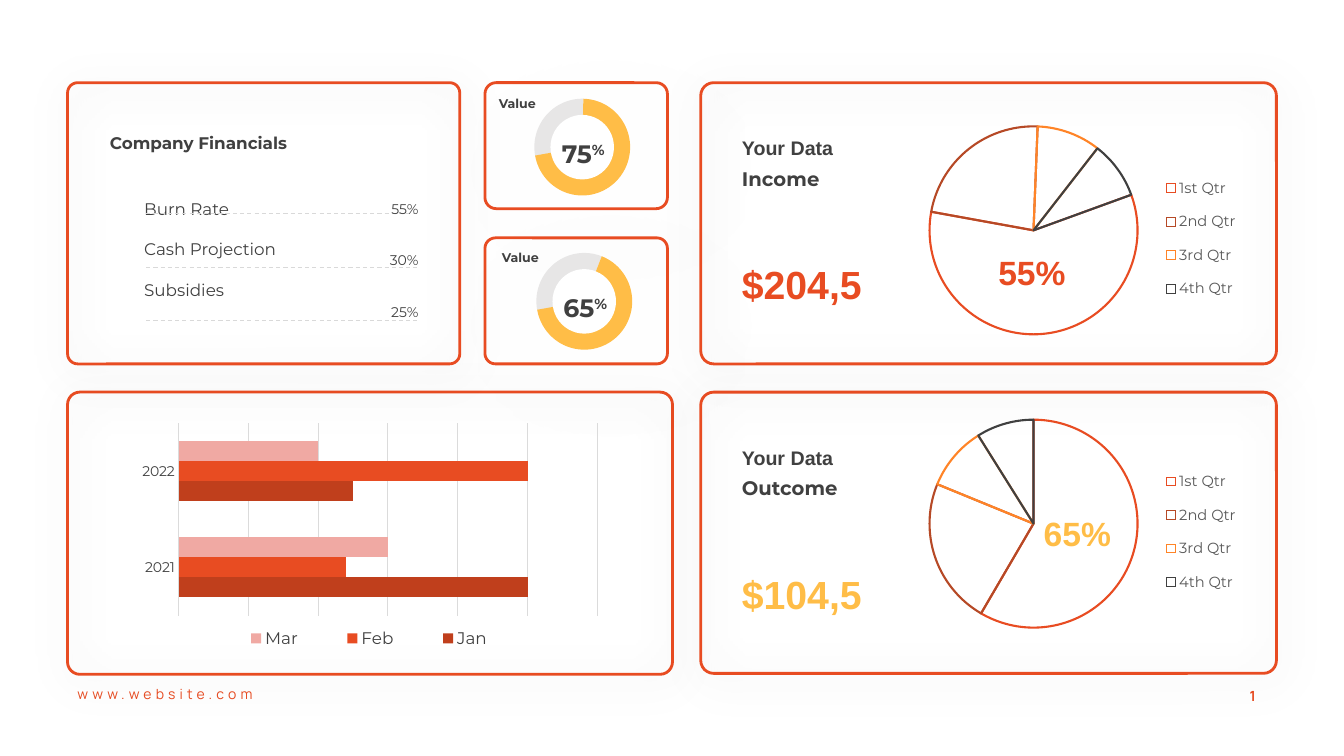
from pptx import Presentation
from pptx.chart.data import CategoryChartData as Data
from pptx.dml.color import RGBColor as RGB
from pptx.enum.chart import XL_CHART_TYPE as Kind, XL_LEGEND_POSITION as Spot, XL_TICK_MARK as Tick
from pptx.enum.dml import MSO_LINE as Dash
from pptx.enum.shapes import MSO_SHAPE as Form, MSO_CONNECTOR as Wire
from pptx.enum.text import PP_ALIGN as Al, MSO_AUTO_SIZE as Fit
from pptx.oxml import parse_xml
from pptx.oxml.ns import qn, nsdecls
from pptx.util import Inches as In, Pt

RED = RGB(0xE8, 0x4C, 0x22)
GOLD = RGB(0xFF, 0xBD, 0x47)
BRICK = RGB(0xC0, 0x3F, 0x1C)
RUST = RGB(0xB6, 0x49, 0x26)
AMBER = RGB(0xFF, 0x84, 0x27)
ROSE = RGB(0xF0, 0xA9, 0xA3)
DARK = RGB(0x40, 0x40, 0x40)
GREY = RGB(0x59, 0x59, 0x59)
PALE = RGB(0xE7, 0xE6, 0xE6)
GRID = RGB(0xDB, 0xDB, 0xDB)
RULE = RGB(0xD9, 0xD9, 0xD9)
WHITE = RGB(0xFF, 0xFF, 0xFF)
SANS, MONT, MAN = "Arial", "Montserrat", "Manrope"

TOP, LOW, LEFT, MID, RIGHT = 0.82, 3.89, 0.67, 4.81, 6.95
SOFT, WIDE = (20, 30, 4.5, 67), (10, 80, 30, 35)
CARDS = [
    (LEFT, LOW, 6, 2.8, 0.044, SOFT),
    (LEFT, TOP, 3.89, 2.79, 0.036, SOFT),
    (MID, TOP, 1.81, 1.25, 0.089, WIDE),
    (MID, TOP + 1.54, 1.81, 1.25, 0.083, WIDE),
    (RIGHT, LOW, 5.71, 2.79, 0.046, SOFT),
    (RIGHT, TOP, 5.71, 2.79, 0.046, SOFT),
]
ITEMS = [("Burn Rate", "55%"), ("Cash Projection", "30%"), ("Subsidies", "25%")]
YEARS = ["2021", "2022"]
MONTHS = [("Jan", (100, 50), BRICK), ("Feb", (48, 100), RED), ("Mar", (60, 40), ROSE)]
GAUGES = [("75", 162.8), ("65", 174.7)]
QUARTERS = [("1st Qtr", 59, RED), ("2nd Qtr", 23, RUST), ("3rd Qtr", 10, AMBER), ("4th Qtr", 9, DARK)]
PIES = [
    (TOP, 0.3, 70, "Income", "$204,5", RED, 1.71, "55%", 9.39, 1.63),
    (LOW, 0.14, 0, "Outcome", "$104,5", GOLD, 1.72, "65%", 9.84, 1.15),
]

deck = Presentation()
deck.slide_width, deck.slide_height = In(13.33), In(7.5)
slide = deck.slides.add_slide(deck.slide_layouts[6])
shapes = slide.shapes


def box(at):
    return [In(v) for v in at]


def run(text, size, color, font=MONT, bold=False, **extra):
    return text, size, color, font, bold, extra


def write(at, paras, align=Al.LEFT, lead=None, pad=(0.1, 0.05), grow=True, wrap=True):
    frame = shapes.add_textbox(*box(at)).text_frame
    frame.word_wrap = wrap
    frame.auto_size = Fit.SHAPE_TO_FIT_TEXT if grow else Fit.NONE
    frame.margin_left = frame.margin_right = In(pad[0])
    frame.margin_top = frame.margin_bottom = In(pad[1])
    for i, runs in enumerate(paras):
        para = frame.add_paragraph() if i else frame.paragraphs[0]
        para.alignment = align
        if lead:
            para.line_spacing = lead
        for text, size, color, font, bold, extra in runs:
            part = para.add_run()
            part.text = text
            part.font.size, part.font.name, part.font.bold = Pt(size), font, bold
            part.font.color.rgb = color
            for key, val in extra.items():
                part.font._element.set(key, str(val))


def draw(form, at, fill=None, adj=()):
    shape = shapes.add_shape(form, *box(at))
    shape.shadow.inherit = False
    for i, val in enumerate(adj):
        shape.adjustments[i] = val
    if fill is None:
        shape.fill.background()
        shape.line.color.rgb, shape.line.width = RED, Pt(2)
    else:
        shape.fill.solid()
        shape.fill.fore_color.rgb = fill
        shape.line.fill.background()
    return shape


def shade(shape, alpha, blur, dist, turn):
    glow = parse_xml(
        f'<a:outerShdw {nsdecls("a")} blurRad="{Pt(blur)}" dist="{Pt(dist)}" dir="{turn * 60000}" '
        f'algn="t" rotWithShape="0"><a:srgbClr val="000000"><a:alpha val="{alpha * 1000}"/>'
        '</a:srgbClr></a:outerShdw>')
    shape._element.spPr.find(qn("a:effectLst")).append(glow)


def layout(x, y, w, h, inner=False):
    tags = '<c:layoutTarget val="inner"/>' if inner else ""
    tags += '<c:xMode val="edge"/><c:yMode val="edge"/>'
    tags += "".join(f'<c:{k} val="{v}"/>' for k, v in zip("xywh", (x, y, w, h)))
    return parse_xml(f'<c:layout {nsdecls("c")}><c:manualLayout>{tags}</c:manualLayout></c:layout>')


def graph(kind, at, cats, series, spot, size, color, plot, key):
    data = Data()
    data.categories = cats
    for name, vals in series:
        data.add_series(name, vals)
    chart = shapes.add_chart(kind, *box(at), data).chart
    chart.has_title = False
    chart.font.name, chart.font.size = MONT, Pt(10)
    chart.has_legend = True
    legend = chart.legend
    legend.position, legend.include_in_layout = spot, False
    legend.font.size, legend.font.name = Pt(size), MONT
    legend.font.color.rgb = color
    area = chart.element.find(".//" + qn("c:plotArea"))
    keys = chart.element.find(".//" + qn("c:legend"))
    for node in (area, keys):
        for old in node.findall(qn("c:layout")):
            node.remove(old)
    area.insert(0, layout(*plot, inner=True))
    keys.find(qn("c:legendPos")).addnext(layout(*key))
    return chart


write((12.18, 6.77, 0.49, 0.27), [[run("1", 10, RED, MAN, True, spc=200)]], Al.CENTER, wrap=False)
write((LEFT, 6.75, 2.85, 0.27), [[run("www.website.com", 10, RED, MAN, spc=300)]])

for *at, bend, glow in CARDS:
    shade(draw(Form.ROUNDED_RECTANGLE, at, adj=[bend]), *glow)

PAD = (0.13, 0.07)
write((0.96, 1.21, 2.62, 0.38), [[run("Company Financials", 12, DARK, bold=True)]], lead=1.2, pad=PAD)
write((1.3, 1.7, 2.14, 1.35), [[run(name, 12, DARK)] for name, rate in ITEMS], lead=2, pad=PAD)
for i, (name, rate) in enumerate(ITEMS):
    y = 2.12 + 0.53 * i
    rule = shapes.add_connector(Wire.STRAIGHT, *box((1.45, y, 4.14, y)))
    rule.line.color.rgb, rule.line.width, rule.line.dash_style = RULE, Pt(0.75), Dash.DASH
    rule._element.spPr.append(parse_xml(f'<a:effectLst {nsdecls("a")}/>'))
    write((3.44, 1.75 + 0.51 * i, 0.84, 0.36), [[run(rate, 10, DARK)]], Al.RIGHT, 2, PAD, grow=False)

bars = graph(Kind.BAR_CLUSTERED, (1.3, 4.15, 4.72, 2.36), YEARS, [m[:2] for m in MONTHS],
             Spot.BOTTOM, 12, DARK, (0.1, 0.02, 0.88, 0.81), (0.16, 0.86, 0.68, 0.13))
plot = bars.plots[0]
plot.gap_width, plot.overlap, plot.vary_by_categories = 182, 0, False
for series, (name, vals, color) in zip(plot.series, MONTHS):
    series.format.fill.solid()
    series.format.fill.fore_color.rgb = color
axis, scale = bars.category_axis, bars.value_axis
axis.major_tick_mark = Tick.NONE
axis.tick_labels.font.size, axis.tick_labels.font.name = Pt(10), MONT
axis.tick_labels.font.color.rgb = DARK
scale.minimum_scale, scale.maximum_scale, scale.major_unit = 0, 120, 20
scale.has_major_gridlines, scale.visible = True, False
for line in (axis.format.line, scale.major_gridlines.format.line):
    line.color.rgb, line.width = GRID, Pt(0.75)

for i, (num, turn) in enumerate(GAUGES):
    x, y = 5.3 + 0.02 * i, 0.98 + 1.53 * i
    ring = (x, y, 0.95, 0.96)
    draw(Form.PIE, ring, PALE, (101.56, turn))
    draw(Form.PIE, ring, GOLD, (turn, 101.9))
    draw(Form.OVAL, (x + 0.16, y + 0.16, 0.63, 0.64), WHITE)
    write((x + 0.01, y + 0.25, 0.95, 0.49),
          [[run(num, 18, DARK, bold=True), run("%", 18, DARK, bold=True, baseline=30000)]], Al.CENTER, 1.3)
    write((4.85 + 0.03 * i, 0.83 + 1.53 * i, 0.99, 0.33), [[run("Value", 9, DARK, bold=True)]], lead=1.5)

for top, drop, turn, name, cash, color, down, share, x, fall in PIES:
    pie = graph(Kind.PIE, (8.1, top + drop, 4.26, 2.68), [q[0] for q in QUARTERS],
                [("Series 1", [q[1] for q in QUARTERS])], Spot.RIGHT, 10.5, GREY,
                (0.26, 0.05, 0.49, 0.77), (0.8, 0.19, 0.19, 0.55))
    pie.plots[0].vary_by_categories = True
    tag = pie.element.find(".//" + qn("c:pieChart"))
    for old in tag.findall(qn("c:firstSliceAng")):
        tag.remove(old)
    tag.append(parse_xml(f'<c:firstSliceAng {nsdecls("c")} val="{turn}"/>'))
    for i, (label, val, tint) in enumerate(QUARTERS):
        slice_ = pie.plots[0].series[0].points[i].format
        slice_.fill.background()
        slice_.line.color.rgb, slice_.line.width = tint, Pt(1.5)
    write((7.26, top + 0.41, 1.88, 0.71),
          [[run("Your Data ", 14, DARK, SANS, True), run(name, 14, DARK, bold=True)]], lead=1.3)
    write((7.26, top + down, 1.69, 0.57), [[run(cash, 28, color, SANS, True)]])
    write((x, top + fall, 1.69, 0.5), [[run(share, 24, color, SANS, True)]], Al.CENTER)

deck.save("out.pptx")
